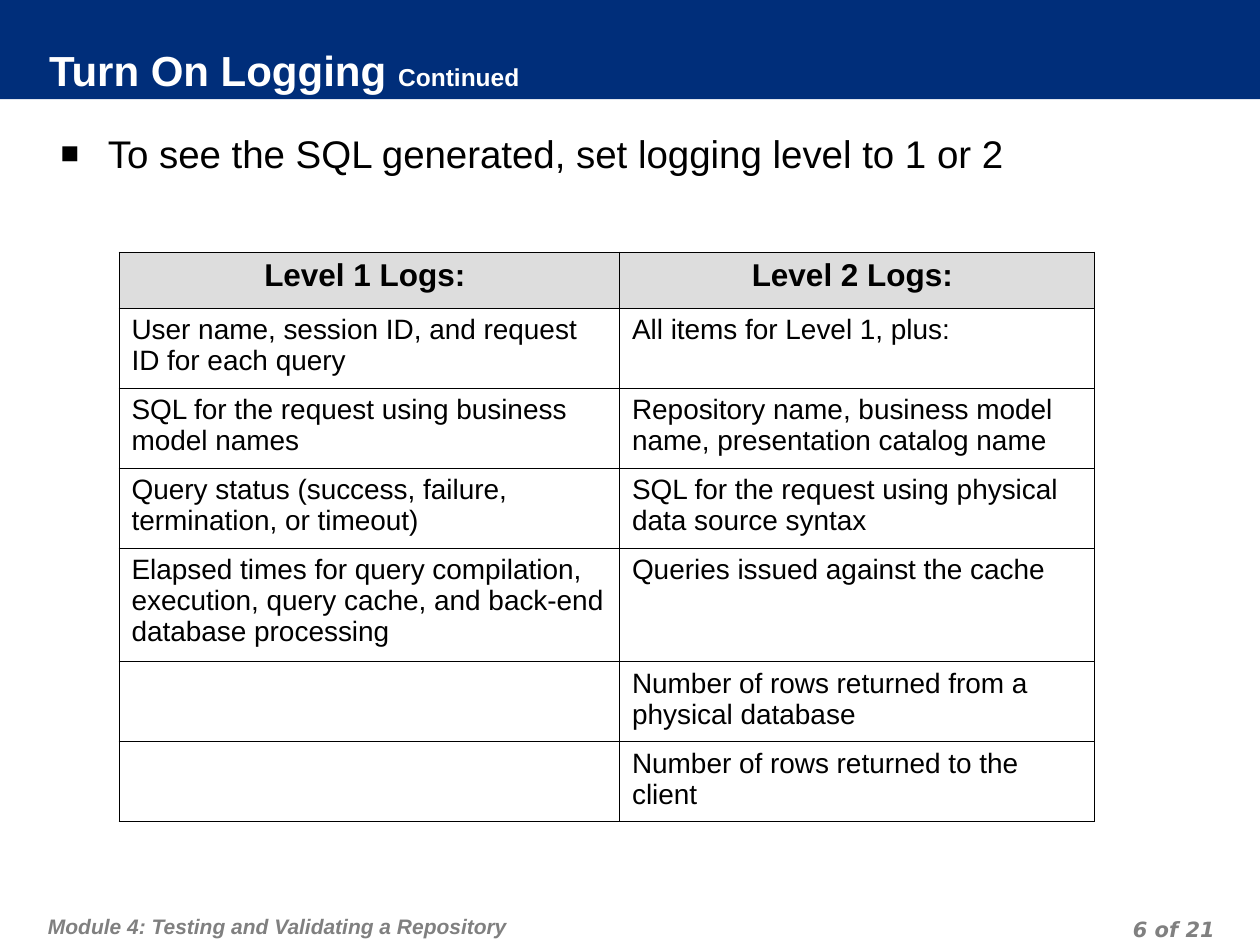
from dataclasses import dataclass

from lxml.etree import SubElement
from pptx import Presentation
from pptx.dml.color import RGBColor
from pptx.enum.shapes import MSO_SHAPE
from pptx.enum.text import MSO_ANCHOR, MSO_AUTO_SIZE, PP_ALIGN
from pptx.oxml.ns import qn
from pptx.util import Pt


@dataclass(frozen=True)
class Theme:
    navy: str = "002E7A"
    white: str = "FFFFFF"
    black: str = "000000"
    grey: str = "808080"
    pale: str = "DDDDDD"
    font: str = "Arial"
    page: str = "DejaVu Sans"
    title: float = 24
    small: float = 14
    body: float = 22
    head: float = 18
    cell: float = 16
    foot: float = 12


THEME = Theme()

ROWS = [
    ("Level 1 Logs: ", "Level 2 Logs: "),
    ("User name, session ID, and request ID for each query",
     "All items for Level 1, plus:"),
    ("SQL for the request using business model names",
     "Repository name, business model name, presentation catalog name"),
    ("Query status (success, failure, termination, or timeout)",
     "SQL for the request using physical data source syntax"),
    ("Elapsed times for query compilation, execution, query cache, "
     "and back-end database processing",
     "Queries issued against the cache"),
    ("", "Number of rows returned from a physical database"),
    ("", "Number of rows returned to the client"),
]
WIDTHS = (286, 271.2)
HEIGHTS = (32, 45.75, 45.75, 45.75, 65, 45.75, 45.75)


def style(run, size, color, bold=False, italic=False, font=THEME.font):
    run.font.name = font
    run.font.size = Pt(size)
    run.font.bold = bold
    run.font.italic = italic
    run.font.color.rgb = RGBColor.from_string(color)


def place(shape, left, top, width, height):
    shape.left, shape.top = Pt(left), Pt(top)
    shape.width, shape.height = Pt(width), Pt(height)


def inset(frame, left, top, right, bottom):
    frame.margin_left, frame.margin_top = Pt(left), Pt(top)
    frame.margin_right, frame.margin_bottom = Pt(right), Pt(bottom)
    frame.word_wrap = True
    frame.auto_size = MSO_AUTO_SIZE.NONE


def add_title(slide, text, note):
    """Write the title and its smaller note on a full-width band."""
    title = slide.shapes.title
    band = slide.shapes.add_shape(MSO_SHAPE.RECTANGLE, 0, 0, Pt(720), Pt(56.7))
    band.shadow.inherit = False
    band.fill.solid()
    band.fill.fore_color.rgb = RGBColor.from_string(THEME.navy)
    band.line.fill.background()
    title.element.addprevious(band.element)

    place(title, 28, 27.4, 566.6, 28.8)
    frame = title.text_frame
    inset(frame, 0, 0, 3.6, 3.6)
    frame.vertical_anchor = MSO_ANCHOR.MIDDLE
    frame.text = text
    para = frame.paragraphs[0]
    para.alignment = PP_ALIGN.LEFT
    para.add_run().text = note
    for run, size in zip(para.runs, (THEME.title, THEME.small)):
        style(run, size, THEME.white, bold=True)


def add_bullet(slide, text):
    body = slide.placeholders[1]
    place(body, 27.4, 67, 669.6, 445)
    inset(body.text_frame, 7.2, 7.2, 7.2, 3.6)
    body.text_frame.text = text
    para = body.text_frame.paragraphs[0]
    para.space_before = Pt(5.5)
    style(para.runs[0], THEME.body, THEME.black)
    props = para._p.get_or_add_pPr()
    props.set("marL", str(Pt(27)))
    props.set("indent", str(Pt(-27)))
    color = SubElement(props, qn("a:buClr"))
    SubElement(color, qn("a:srgbClr"), val=THEME.black)
    SubElement(props, qn("a:buSzPct"), val="80000")
    SubElement(props, qn("a:buFont"), typeface=THEME.font)
    SubElement(props, qn("a:buChar"), char="■")


def add_border(cell):
    props = cell._tc.get_or_add_tcPr()
    for index, side in enumerate(("lnL", "lnR", "lnT", "lnB")):
        line = SubElement(props, qn(f"a:{side}"), w=str(Pt(0.45)))
        fill = SubElement(line, qn("a:solidFill"))
        SubElement(fill, qn("a:srgbClr"), val=THEME.black)
        props.insert(index, line)


def fill_cell(cell, text, head):
    if head:
        cell.fill.solid()
        cell.fill.fore_color.rgb = RGBColor.from_string(THEME.pale)
    else:
        cell.fill.background()
    add_border(cell)
    if not text:
        return
    cell.text_frame.text = text
    para = cell.text_frame.paragraphs[0]
    para.alignment = PP_ALIGN.CENTER if head else PP_ALIGN.LEFT
    para.space_before = Pt(4.5 if head else 4)
    size = THEME.head if head else THEME.cell
    style(para.runs[0], size, THEME.black, bold=head)


def add_logs(slide):
    frame = slide.shapes.add_table(
        len(ROWS), len(WIDTHS), Pt(68), Pt(144),
        Pt(sum(WIDTHS)), Pt(sum(HEIGHTS)))
    table = frame.table
    table.first_row = table.horz_banding = False
    for col, width in zip(table.columns, WIDTHS):
        col.width = Pt(width)
    for index, (row, height) in enumerate(zip(table.rows, HEIGHTS)):
        row.height = Pt(height)
        for cell, text in zip(row.cells, ROWS[index]):
            fill_cell(cell, text, index == 0)


def add_foot(slide, text, box, top, bottom, align, font):
    shape = slide.shapes.add_textbox(*map(Pt, box))
    inset(shape.text_frame, 3.6, top, 3.6, bottom)
    shape.text_frame.text = text
    para = shape.text_frame.paragraphs[0]
    para.alignment = align
    para.line_spacing = Pt(18)
    para.space_before = Pt(6)
    style(para.runs[0], THEME.foot, THEME.grey, True, True, font)


def main():
    deck = Presentation()
    deck.slide_width, deck.slide_height = Pt(720), Pt(540)
    slide = deck.slides.add_slide(deck.slide_layouts[1])
    add_title(slide, "Turn On Logging ", "Continued")
    add_bullet(slide, "To see the SQL generated, set logging level to 1 or 2")
    add_logs(slide)
    add_foot(slide, "Module 4: Testing and Validating a Repository",
             (23.8, 511.2, 445, 28.8), 7.2, 3.6, PP_ALIGN.LEFT, THEME.font)
    add_foot(slide, "6 of 21", (530, 520, 167.8, 18),
             0, 0, PP_ALIGN.RIGHT, THEME.page)
    deck.save("out.pptx")


if __name__ == "__main__":
    main()
